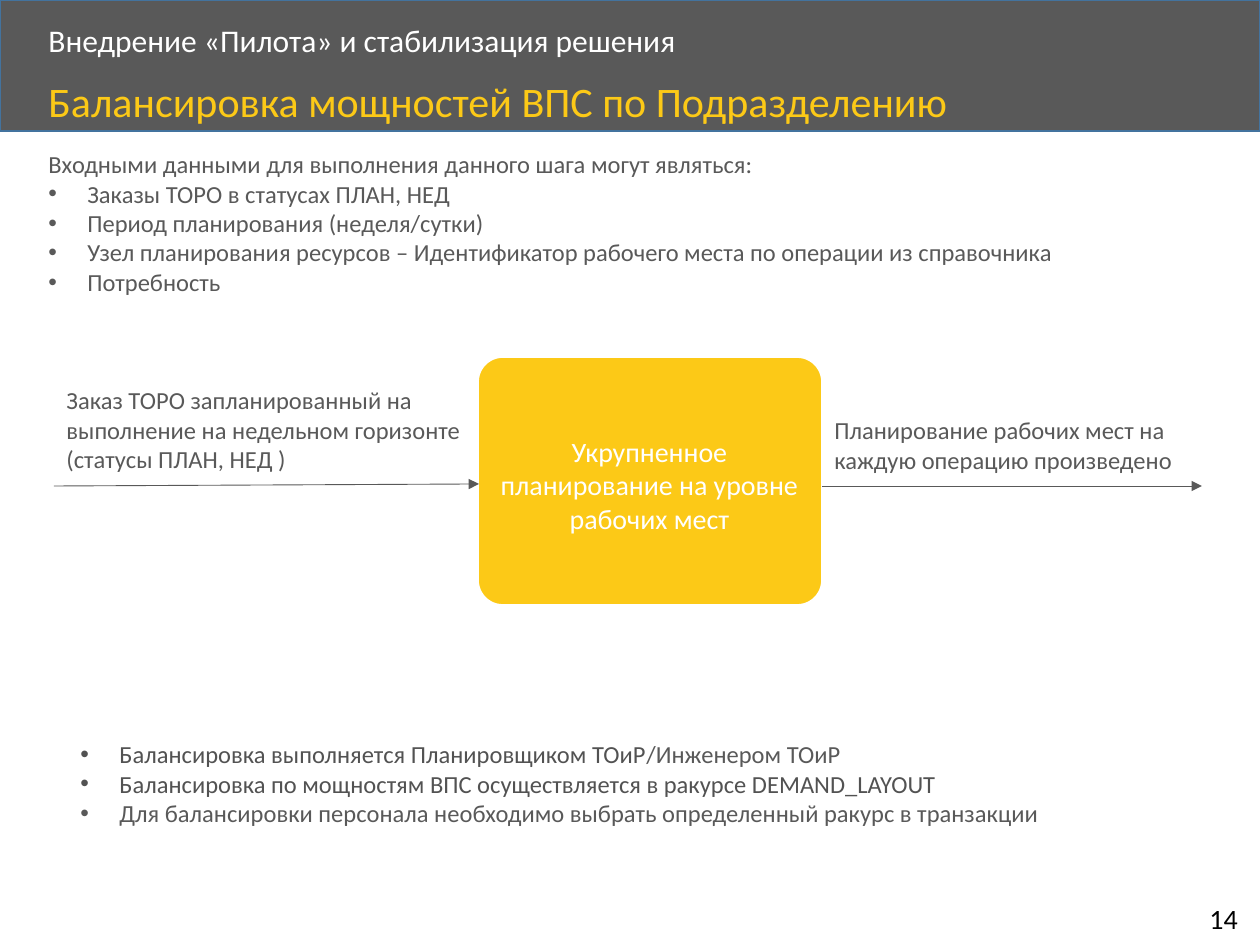
from lxml import etree
from pptx import Presentation
from pptx.dml.color import RGBColor
from pptx.enum.shapes import MSO_CONNECTOR, MSO_SHAPE
from pptx.enum.text import MSO_ANCHOR, PP_ALIGN
from pptx.oxml.ns import qn
from pptx.util import Emu, Pt

RECT, ROUNDED = MSO_SHAPE.RECTANGLE, MSO_SHAPE.ROUNDED_RECTANGLE
STRAIGHT = MSO_CONNECTOR.STRAIGHT
TOP, MIDDLE = MSO_ANCHOR.TOP, MSO_ANCHOR.MIDDLE
LEFT, CENTER = PP_ALIGN.LEFT, PP_ALIGN.CENTER

PX_PER_INCH = 126
GRAY, DARK, YELLOW, WHITE, BLACK = "595959", "525252", "FCC917", "FFFFFF", "000000"
BLUE = "43739E"


def px(length):
    return Emu(round(length * 914400 / PX_PER_INCH))


def rgb(value):
    return RGBColor.from_string(value)


def write(paragraph, text, *, font, size, color, align=LEFT, spacing=None, bullet=False):
    """Fill a paragraph with a string or with (string, colour) pieces."""
    if bullet:
        properties = paragraph._p.get_or_add_pPr()
        properties.set("marL", str(px(39)))
        properties.set("indent", str(-px(39)))
        etree.SubElement(properties, qn("a:buFont")).set("typeface", "Arial")
        etree.SubElement(properties, qn("a:buChar")).set("char", "•")
    paragraph.alignment = align
    if spacing:
        paragraph.line_spacing = spacing
    pieces = [(text, color)] if isinstance(text, str) else text
    for words, piece_color in pieces:
        run = paragraph.add_run()
        run.text = words
        run.font.name = font
        run.font.size = Pt(size)
        run.font.color.rgb = rgb(piece_color)


class Deck:
    font = "Calibri"

    def __init__(self, width, height):
        self.presentation = Presentation()
        self.presentation.slide_width = px(width)
        self.presentation.slide_height = px(height)
        self.slide = self.presentation.slides.add_slide(self.presentation.slide_layouts[6])

    def box(self, kind, left, top, width, height, fill, line, corner=None):
        shape = self.slide.shapes.add_shape(kind, px(left), px(top), px(width), px(height))
        shape.shadow.inherit = False
        shape.fill.solid()
        shape.fill.fore_color.rgb = rgb(fill)
        shape.line.color.rgb = rgb(line)
        shape.line.width = Pt(1)
        if corner is not None:
            shape.adjustments[0] = corner

    def text(self, left, top, width, height, lines, size=14, color=GRAY, anchor=TOP,
             wrap=True, inset=None, bullets_from=None, **style):
        frame = self.slide.shapes.add_textbox(
            px(left), px(top), px(width), px(height)).text_frame
        frame.word_wrap = wrap
        frame.vertical_anchor = anchor
        if inset is not None:
            frame.margin_left = frame.margin_right = px(inset)
            frame.margin_top = frame.margin_bottom = px(inset)
        for number, line in enumerate(lines):
            paragraph = frame.add_paragraph() if number else frame.paragraphs[0]
            bullet = bullets_from is not None and number >= bullets_from
            write(paragraph, line, font=self.font, size=size, color=color,
                  bullet=bullet, **style)

    def arrow(self, x1, y1, x2, y2):
        connector = self.slide.shapes.add_connector(STRAIGHT, px(x1), px(y1), px(x2), px(y2))
        connector.line.color.rgb = rgb(GRAY)
        connector.line.width = Pt(0.5)
        etree.SubElement(connector.line._get_or_add_ln(), qn("a:tailEnd")).set("type", "triangle")
        etree.SubElement(connector._element.spPr, qn("a:effectLst"))


def main():
    deck = Deck(1260, 945)

    # Header band and page number
    deck.box(RECT, 0, 0, 1260, 131, GRAY, BLUE)
    deck.text(36, 18, 1017, 48, ["Внедрение «Пилота» и стабилизация решения"],
              size=18, color=WHITE, anchor=MIDDLE, spacing=0.9)
    deck.text(36, 75, 1092, 56, ["Балансировка мощностей ВПС по Подразделению"],
              size=24, color=YELLOW, spacing=0.9)
    deck.text(1197, 895, 58, 47, ["14"], size=16, color=BLACK, wrap=False)

    # Process step
    deck.box(ROUNDED, 478, 357, 344, 248, YELLOW, WHITE, corner=0.1)
    deck.text(485, 370, 329, 229, ["Укрупненное планирование на уровне рабочих мест"],
              size=16, color=WHITE, anchor=MIDDLE, inset=1, align=CENTER)

    # Input and output of the step
    deck.arrow(822, 486, 1202, 486)
    deck.arrow(54, 486, 479, 484)
    deck.text(54, 379, 450, 102, [
        "Заказ ТОРО запланированный на выполнение на недельном горизонте (статусы ПЛАН, НЕД )"])
    deck.text(822, 409, 380, 72, ["Планирование рабочих мест на каждую операцию произведено"])

    # Input data list
    deck.text(36, 143, 1192, 161, [
        "Входными данными для выполнения данного шага могут являться:",
        "Заказы ТОРО в статусах ПЛАН, НЕД",
        "Период планирования (неделя/сутки)",
        "Узел планирования ресурсов – Идентификатор рабочего места по операции из справочника",
        "Потребность",
    ], bullets_from=1)

    # Balancing notes
    deck.text(68, 733, 1143, 102, [
        [("Балансировка выполняется Планировщиком ТОиР", DARK), ("/Инженером ТОиР", GRAY)],
        [("Балансировка по мощностям ВПС осуществляется в ракурсе DEMAND_LAYOUT", DARK)],
        "Для балансировки персонала необходимо выбрать определенный ракурс в транзакции",
    ], bullets_from=0)

    deck.presentation.save("out.pptx")


if __name__ == "__main__":
    main()
